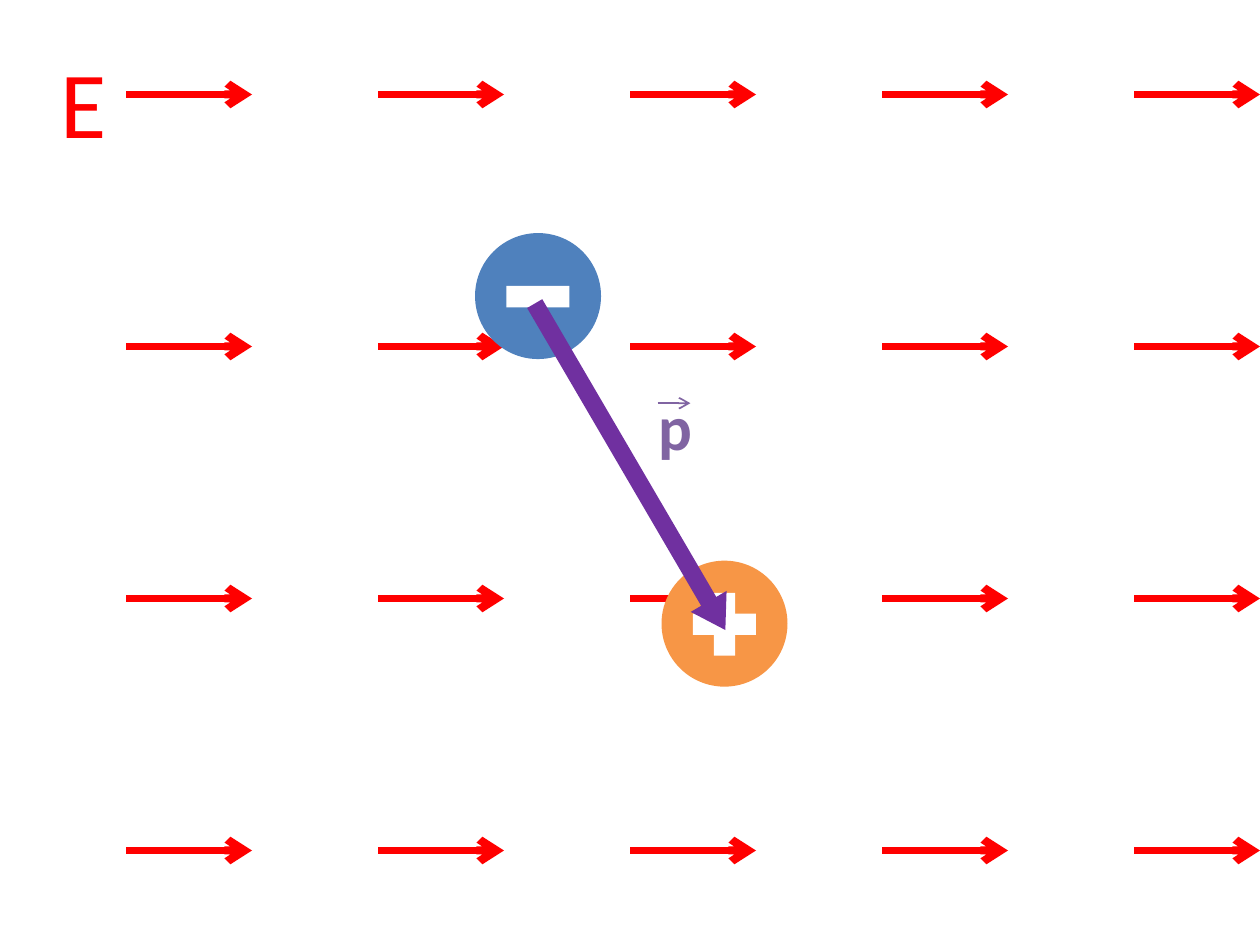
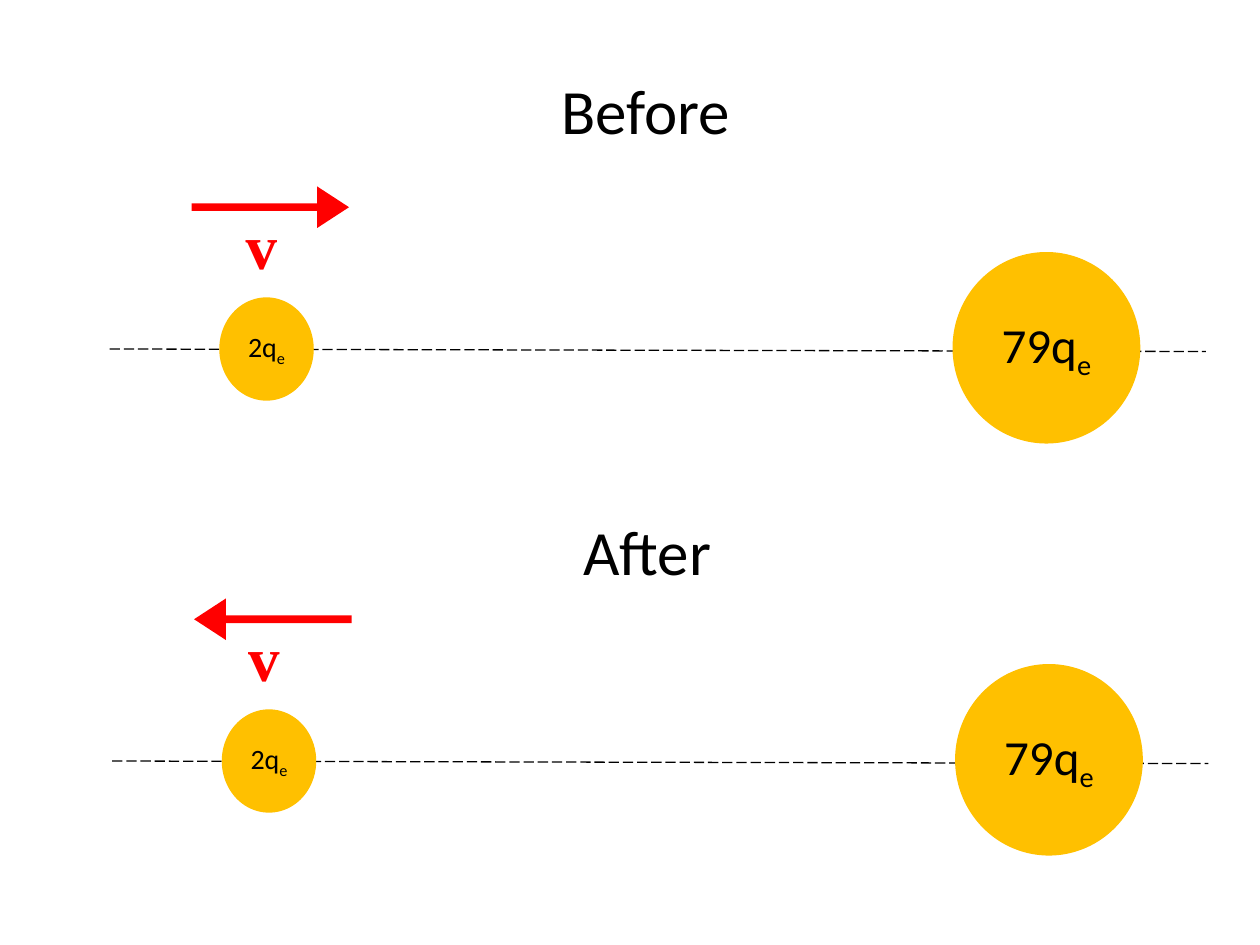
from dataclasses import dataclass
from itertools import product

from lxml import etree
from pptx import Presentation
from pptx import util as u
from pptx.dml.color import RGBColor
from pptx.enum import dml, shapes, text
from pptx.oxml.ns import qn


@dataclass(frozen=True)
class Theme:
    red: str = "FF0000"
    negative: str = "4F81BD"
    positive: str = "F79646"
    sign: str = "FFFFFF"
    dipole: str = "7030A0"
    dipole_label: str = "8064A2"
    nucleus: str = "FFC000"
    black: str = "000000"
    sans: str = "Calibri"
    serif: str = "Times New Roman"
    field_size: int = 54
    label_size: int = 36
    large_charge_size: int = 28
    small_charge_size: int = 16


T = Theme()
KIND = shapes.MSO_SHAPE

prs = Presentation()
prs.slide_width, prs.slide_height = u.Inches(10), u.Inches(7.5)
CELL = prs.slide_width / 10  # square grid: 10 columns by 7.5 rows


def add_part(s, kind, at, fill=None, rot=0, adj=(), runs=(), size=0,
             color=T.black, font=T.sans, bold=False):
    """Add a filled shape, or a text box when kind is None; at is in grid cells."""
    box = [round(v * CELL) for v in at]
    if kind is None:
        sp = s.shapes.add_textbox(*box)
    else:
        sp = s.shapes.add_shape(kind, *box)
        sp.shadow.inherit = False
        sp.fill.solid()
        sp.fill.fore_color.rgb = RGBColor.from_string(fill)
        sp.line.fill.background()
        sp.rotation = rot
        for i, value in enumerate(adj):
            sp.adjustments[i] = value
    if runs:
        tf = sp.text_frame
        tf.word_wrap = False
        p = tf.paragraphs[0]
        if kind is None:
            tf.auto_size = text.MSO_AUTO_SIZE.SHAPE_TO_FIT_TEXT
        else:
            tf.vertical_anchor = text.MSO_ANCHOR.MIDDLE
            p.alignment = text.PP_ALIGN.CENTER
        for i, words in enumerate(runs):
            r = p.add_run()
            r.text = words
            r.font.name, r.font.size, r.font.bold = font, u.Pt(size), bold
            r.font.color.rgb = RGBColor.from_string(color)
            if i:  # a second run is a subscript
                r._r.get_or_add_rPr().set("baseline", "-25000")


def add_line(s, ends, color, width, dash=None, arrow=False):
    """Add a straight line between two grid points."""
    c = s.shapes.add_connector(shapes.MSO_CONNECTOR.STRAIGHT,
                               *[round(v * CELL) for v in ends])
    c.line.color.rgb = RGBColor.from_string(color)
    c.line.width = u.Pt(width)
    if dash:
        c.line.dash_style = dash
    spPr = c._element.spPr
    if arrow:
        etree.SubElement(spPr.find(qn("a:ln")), qn("a:tailEnd"), type="arrow")
    etree.SubElement(spPr, qn("a:effectLst"))


# Slide 1: dipole in a uniform field
s = prs.slides.add_slide(prs.slide_layouts[6])
for col, row in product(range(5), range(4)):
    x, y = 1 + 2 * col, 0.75 + 2 * row
    add_line(s, (x, y, x + 1, y), T.red, 4.5, arrow=True)

# Charges with their signs
for x, y, fill, bar_angles in ((3.77, 1.85, T.negative, (0,)),
                               (5.25, 4.45, T.positive, (0, 90))):
    add_part(s, KIND.OVAL, (x, y, 1, 1), fill, rot=60.3)
    for angle in bar_angles:
        add_part(s, KIND.RECTANGLE, (x + 0.25, y + 0.42, 0.5, 0.17), T.sign, rot=angle)

# Dipole moment and labels
add_part(s, KIND.RIGHT_ARROW, (3.5, 3.54, 3, 0.33), T.dipole, rot=59.7, adj=(0.421, 0.795))
add_part(s, None, (5.13, 3.03, 0.47, 0.71), runs=["p"], size=T.label_size,
         color=T.dipole_label, bold=True)
add_line(s, (5.22, 3.2, 5.48, 3.2), T.dipole_label, 1, arrow=True)
add_part(s, None, (0.38, 0.3, 0.57, 1.01), runs=["E"], size=T.field_size, color=T.red)

# Slide 2: head-on collision, before and after
s = prs.slides.add_slide(prs.slide_layouts[6])
stages = (("Before", 4.36, 0.52, 1.55, KIND.RIGHT_ARROW),
          ("After", 4.53, 4.02, 1.24, KIND.LEFT_ARROW))
for i, (title, title_x, title_y, title_w, arrow) in enumerate(stages):
    dx, dy = 0.02 * i, 3.27 * i

    # Line of motion
    add_line(s, (0.87 + dx, 2.77 + dy, 9.57 + dx, 2.79 + dy), T.black, 0.75,
             dash=dml.MSO_LINE.LONG_DASH)

    # Velocity
    add_part(s, arrow, (1.52 + dx, 1.48 + dy, 1.25, 0.33), T.red, adj=(0.182, 0.767))
    add_part(s, None, (1.85 + dx, 1.59 + dy, 0.45, 0.71), runs=["v"], size=T.label_size,
             color=T.red, font=T.serif, bold=True)

    # Charges and title
    add_part(s, KIND.OVAL, (7.56 + dx, 2 + dy, 1.49, 1.52), T.nucleus,
             runs=["79q", "e"], size=T.large_charge_size)
    add_part(s, KIND.OVAL, (1.74 + dx, 2.36 + dy, 0.75, 0.82), T.nucleus,
             runs=["2q", "e"], size=T.small_charge_size)
    add_part(s, None, (title_x, title_y, title_w, 0.71), runs=[title], size=T.label_size)

prs.save("out.pptx")
